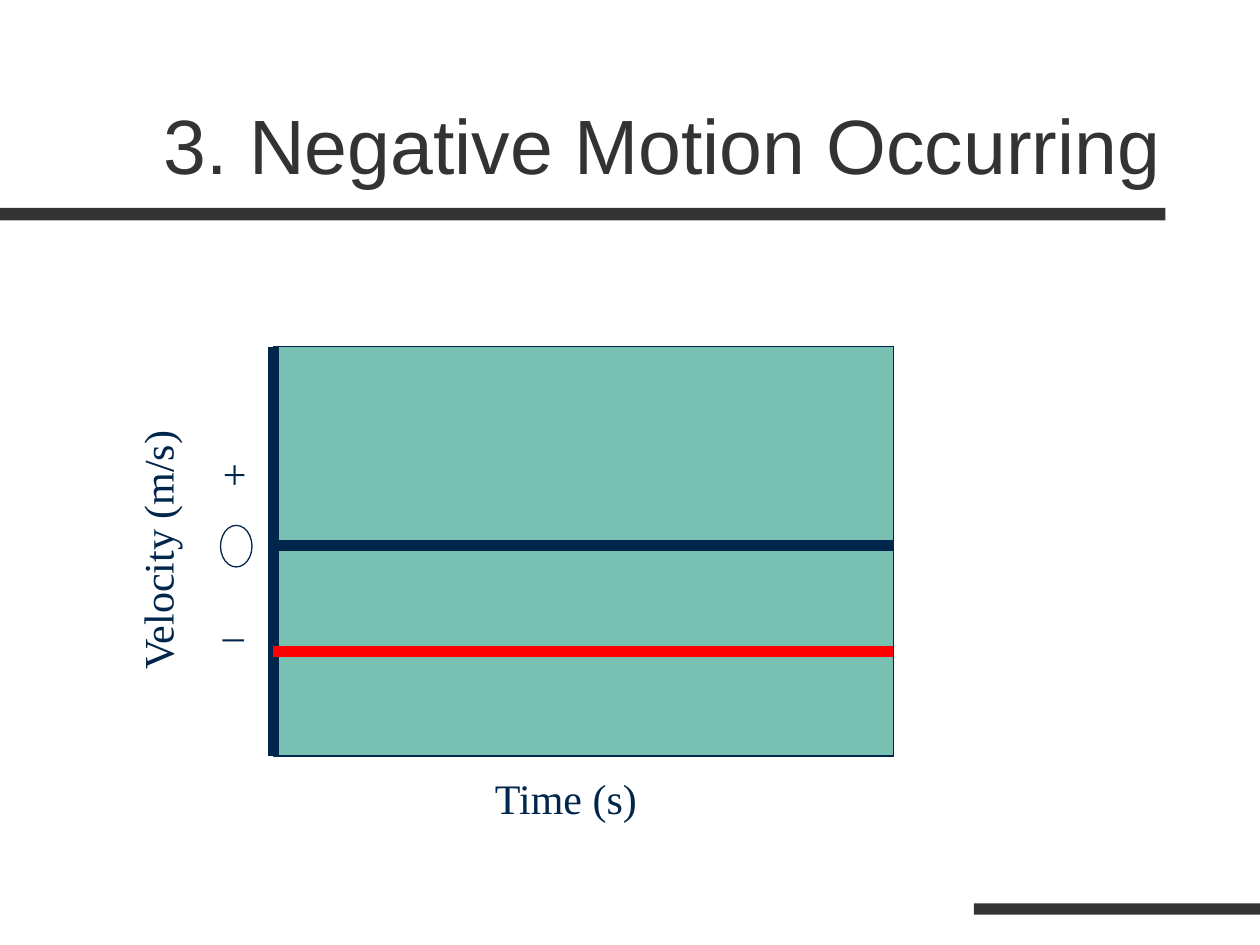
from lxml.etree import SubElement
from pptx import Presentation
from pptx.dml.color import RGBColor
from pptx.enum.shapes import MSO_CONNECTOR, MSO_SHAPE
from pptx.enum.text import MSO_ANCHOR, PP_ALIGN
from pptx.oxml.ns import qn
from pptx.util import Inches, Pt

GRAY, NAVY, TEAL, RED = "333333", "00264C", "78C0B2", "FF0000"


def color(code):
    return RGBColor.from_string(code)


def style(para, face, size, code):
    for name, value in {"name": face, "size": Pt(size)}.items():
        setattr(para.font, name, value)
    para.font.color.rgb = color(code)


def shape(slide, kind, box, fill=None, line=None):
    item = slide.shapes.add_shape(kind, *map(Inches, box))
    item.shadow.inherit = False
    if fill:
        item.fill.solid()
        item.fill.fore_color.rgb = color(fill)
    else:
        item.fill.background()
    if line:
        item.line.color.rgb = color(line)
        item.line.width = Pt(0.75)
    else:
        item.line.fill.background()


def rule(slide, start, end, code):
    item = slide.shapes.add_connector(
        MSO_CONNECTOR.STRAIGHT, *map(Inches, (*start, *end)))
    item.line.color.rgb = color(code)
    item.line.width = Pt(6)
    SubElement(item._element.spPr, qn("a:effectLst"))


def label(slide, text, box, turn=0):
    item = slide.shapes.add_textbox(*map(Inches, box))
    item.rotation = turn
    item.text_frame.word_wrap = True
    para = item.text_frame.paragraphs[0]
    para.text = text
    style(para, "Times New Roman", 24, NAVY)


def heading(slide, text, box):
    title = slide.shapes.title
    for name, value in zip(("left", "top", "width", "height"), box):
        setattr(title, name, Inches(value))
    frame = title.text_frame
    frame.text = text
    frame.word_wrap = True
    frame.vertical_anchor = MSO_ANCHOR.BOTTOM
    para = frame.paragraphs[0]
    para.alignment = PP_ALIGN.LEFT
    style(para, "Arial", 44, GRAY)


def bars(slide, width, height):
    shape(slide, MSO_SHAPE.RECTANGLE, (0, 1.65, width - 0.75, 0.1), GRAY)
    shape(slide, MSO_SHAPE.RECTANGLE,
          (width - 2.27, height - 0.33, 2.27, 0.09), GRAY)


def graph(slide, box):
    left, top, width, height = box
    right, base = left + width, top + height
    zero = top + 1.58
    shape(slide, MSO_SHAPE.RECTANGLE, box, TEAL, NAVY)
    rule(slide, (left, top), (left, base), NAVY)
    for level, code in ((zero, NAVY), (top + 2.42, RED)):
        rule(slide, (left, level), (right, level), code)
    label(slide, "Time (s)", (left + 1.66, base + 0.08, 1.75, 0.5))
    label(slide, "Velocity (m/s)", (left - 2.09, top + 1.25, 2.33, 0.5), 270)
    for sign, drop in (("+", 0.75), ("_", 1.92)):
        label(slide, sign, (left - 0.5, top + drop, 0.45, 0.5))
    shape(slide, MSO_SHAPE.OVAL,
          (left - 0.42, zero - 0.16, 0.25, 0.33), line=NAVY)


def main():
    deck = Presentation()
    deck.slide_width, deck.slide_height = Inches(10), Inches(7.5)
    slide = deck.slides.add_slide(deck.slide_layouts[5])
    bars(slide, 10, 7.5)
    heading(slide, "3. Negative Motion Occurring", (1.2, 0.31, 8.5, 1.25))
    graph(slide, (2.17, 2.75, 4.92, 3.25))
    deck.save("out.pptx")


if __name__ == "__main__":
    main()
